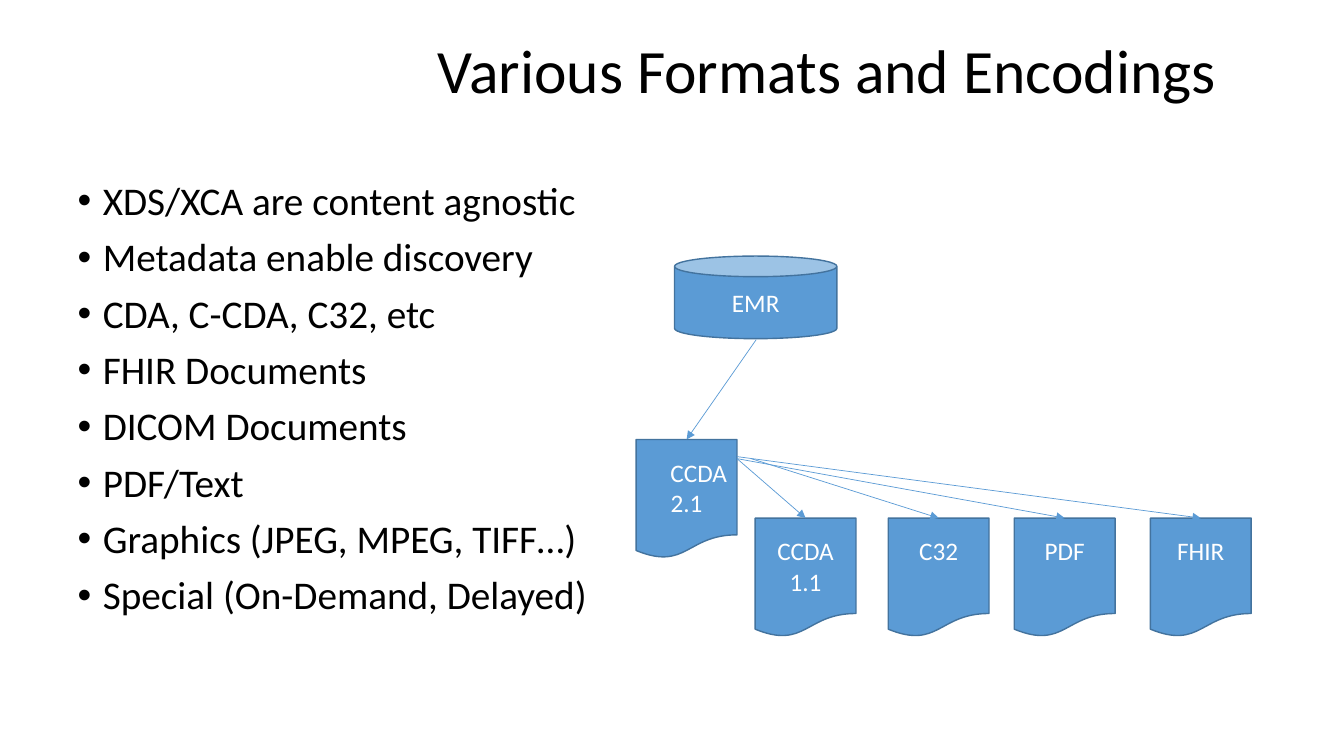
from dataclasses import dataclass

from lxml import etree
from pptx import Presentation
from pptx.dml.color import RGBColor
from pptx.enum.shapes import MSO_CONNECTOR, MSO_SHAPE
from pptx.enum.text import MSO_ANCHOR, MSO_AUTO_SIZE, PP_ALIGN
from pptx.oxml.ns import qn
from pptx.util import Inches, Pt

LEFT, CENTER, RIGHT = PP_ALIGN.LEFT, PP_ALIGN.CENTER, PP_ALIGN.RIGHT
TOP, MIDDLE = MSO_ANCHOR.TOP, MSO_ANCHOR.MIDDLE
STORE, DOCUMENT = MSO_SHAPE.CAN, MSO_SHAPE.FLOWCHART_DOCUMENT


@dataclass(frozen=True)
class Theme:
    font: str = "Calibri"
    ink: RGBColor = RGBColor(0, 0, 0)
    label: RGBColor = RGBColor(0xFF, 0xFF, 0xFF)
    blue: RGBColor = RGBColor(0x5B, 0x9B, 0xD5)
    outline: RGBColor = RGBColor(0x43, 0x73, 0x9E)
    title_size: int = 44
    body_size: int = 28
    label_size: int = 18


theme = Theme()


def write(shape, lines, *, size, color, align=LEFT, anchor=TOP,
          line_spacing=1.0, space_before=0, hanging=0):
    frame = shape.text_frame
    frame.text = "\n".join(lines)
    frame.word_wrap = True
    frame.auto_size = MSO_AUTO_SIZE.NONE
    frame.vertical_anchor = anchor
    for index, paragraph in enumerate(frame.paragraphs):
        if hanging:
            properties = paragraph._p.get_or_add_pPr()
            properties.set("marL", str(Inches(hanging)))
            properties.set("indent", str(-Inches(hanging)))
        paragraph.alignment = align
        paragraph.line_spacing = line_spacing
        paragraph.space_before = Pt(space_before if index else 0)
        paragraph.font.name = theme.font
        paragraph.font.size = Pt(size)
        paragraph.font.color.rgb = color


def place(shape, left, top, width, height):
    shape.left, shape.top = Inches(left), Inches(top)
    shape.width, shape.height = Inches(width), Inches(height)


presentation = Presentation()
presentation.slide_width = Inches(13.33)
presentation.slide_height = Inches(7.5)
slide = presentation.slides.add_slide(presentation.slide_layouts[1])

title = slide.shapes.title
place(title, 4.24, 0, 8.18, 1.45)
write(title, ["Various Formats and Encodings"], size=theme.title_size,
      color=theme.ink, anchor=MIDDLE, line_spacing=0.9)

formats = slide.placeholders[1]
place(formats, 0.67, 1.75, 6, 4.95)
write(formats, [
    "XDS/XCA are content agnostic",
    "Metadata enable discovery",
    "CDA, C-CDA, C32, etc",
    "FHIR Documents",
    "DICOM Documents",
    "PDF/Text",
    "Graphics (JPEG, MPEG, TIFF…)",
    "Special (On-Demand, Delayed)",
], size=theme.body_size, color=theme.ink, line_spacing=0.9,
    space_before=10, hanging=0.25)

# The record store, its source document and the derived documents
DOC_WIDTH, DOC_HEIGHT, DERIVED_TOP = 1, 1.18, 5.14
derived = [(7.49, ["CCDA", "1.1"]), (8.81, ["C32"]),
           (10.06, ["PDF"]), (11.41, ["FHIR"])]
nodes = [(STORE, 6.69, 2.54, 1.61, 0.82, ["EMR"]),
         (DOCUMENT, 6.31, 4.36, DOC_WIDTH, DOC_HEIGHT, ["CCDA", "2.1"])]
nodes += [(DOCUMENT, left, DERIVED_TOP, DOC_WIDTH, DOC_HEIGHT, lines)
          for left, lines in derived]

for kind, left, top, width, height, lines in nodes:
    node = slide.shapes.add_shape(kind, Inches(left), Inches(top),
                                  Inches(width), Inches(height))
    node.shadow.inherit = False
    node.fill.solid()
    node.fill.fore_color.rgb = theme.blue
    node.line.color.rgb = theme.outline
    node.line.width = Pt(1)
    write(node, lines, size=theme.label_size, color=theme.label,
          align=CENTER, anchor=MIDDLE)
    if kind == DOCUMENT and len(lines) == 1:
        # Lifts a single label to the first line of the two-line ones
        node.text_frame.margin_bottom = Inches(0.35)
    if lines == ["CCDA", "2.1"]:
        node.text_frame.paragraphs[0].alignment = RIGHT

arrows = [((7.5, 3.37), (6.81, 4.36))]
starts = [(7.31, 4.55), (7.45, 4.55), (7.31, 4.55), (7.31, 4.53)]
arrows += [(start, (left + DOC_WIDTH / 2, DERIVED_TOP))
           for start, (left, lines) in zip(starts, derived)]

for (x1, y1), (x2, y2) in arrows:
    arrow = slide.shapes.add_connector(MSO_CONNECTOR.STRAIGHT, Inches(x1),
                                       Inches(y1), Inches(x2), Inches(y2))
    arrow.line.color.rgb = theme.blue
    arrow.line.width = Pt(0.5)
    etree.SubElement(arrow.line._get_or_add_ln(), qn("a:tailEnd"), type="triangle")
    etree.SubElement(arrow._element.spPr, qn("a:effectLst"))

presentation.save("out.pptx")
